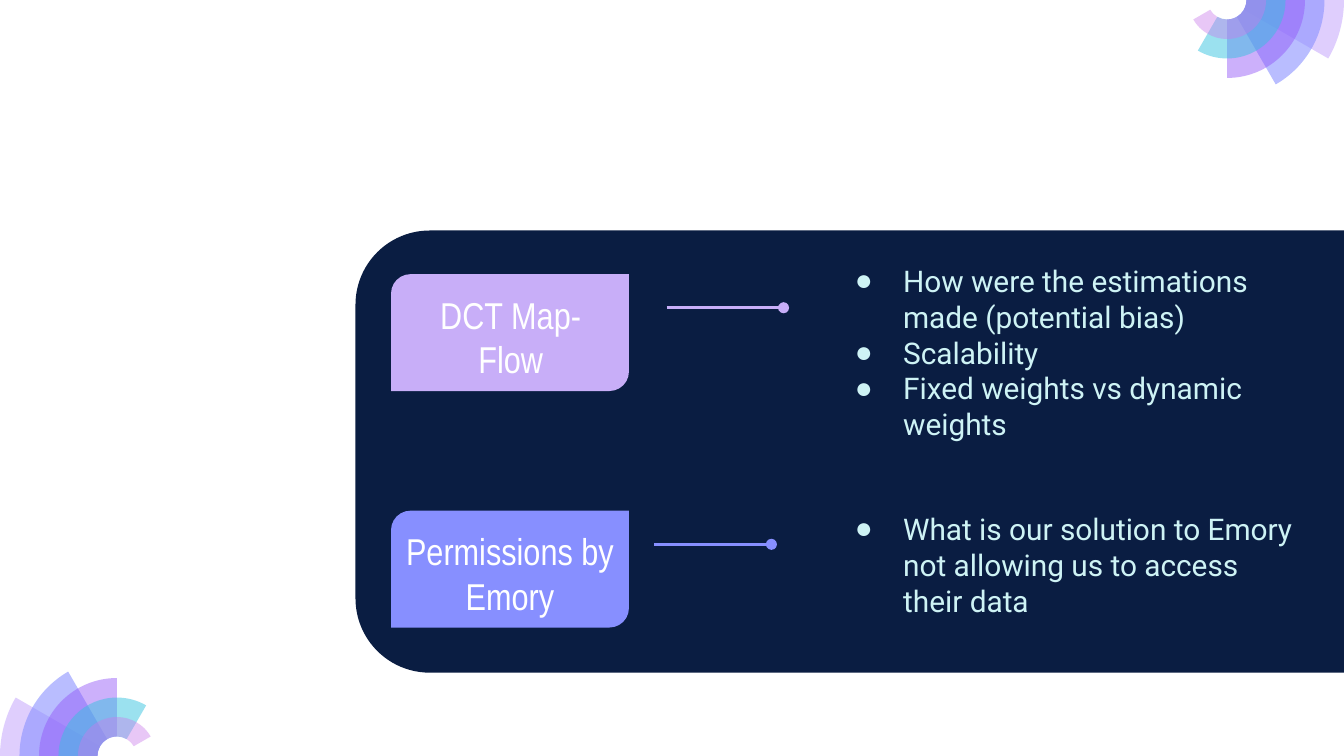
"""Build a slide that lists open questions on two topics beside a pair of corner fans."""
from math import cos, radians, sin, tan

from lxml.etree import SubElement
from pptx import Presentation
from pptx.dml.color import RGBColor
from pptx.enum.shapes import MSO_CONNECTOR as CONNECTOR, MSO_SHAPE as SHAPE
from pptx.enum.text import MSO_ANCHOR as ANCHOR, MSO_AUTO_SIZE as AUTOSIZE, PP_ALIGN as ALIGN
from pptx.oxml.ns import qn
from pptx.util import Inches, Pt


def rgb(code):
    return RGBColor.from_string(code)


def fill_shape(shape, color):
    shape.shadow.inherit = False
    shape.fill.solid()
    shape.fill.fore_color.rgb = rgb(color)
    shape.line.fill.background()


NAVY, MINT, WHITE = "0A1D42", "CEF3F5", "FFFFFF"
LILAC, PERIWINKLE = "C8AEF8", "878FFF"

deck = Presentation()
deck.slide_width, deck.slide_height = Inches(10), Inches(5.625)
slide = deck.slides.add_slide(deck.slide_layouts[4])
shapes = slide.shapes
title = shapes.title.element
title.getparent().remove(title)

blades = [("C8ACFD", 58), ("878FFF", 58), ("9154F8", 46), ("35C2DF", 49), ("CA7BEB", 42)]
for center_x, center_y, first_angle in [(Inches(0.87), deck.slide_height, 180), (Inches(9.13), 0, 0)]:
    for number, (color, opacity) in enumerate(blades):
        outer, inner = Inches(0.87 - 0.145 * number), Inches(0.145)
        sweep = 30 * (number + 1)
        angles = [radians(first_angle + turn) for turn in sorted({0, min(sweep, 90), sweep})]
        corners = [(outer, angle) for angle in angles] + [(inner, angle) for angle in reversed(angles)]
        points = [(center_x + radius * cos(angle), center_y + radius * sin(angle)) for radius, angle in corners]
        outline = shapes.build_freeform(*points[0])
        outline.add_line_segments(points[1:], close=True)
        blade = outline.convert_to_shape()
        fill_shape(blade, color)
        tint = blade.element.spPr.find(qn("a:solidFill"))[0]
        SubElement(tint, qn("a:alpha"), val=str(opacity * 1000))

        edges = list(blade.element.iter(qn("a:lnTo")))
        for edge, (radius, start), (end_radius, end) in zip(edges, corners, corners[1:]):
            if radius != end_radius:
                continue
            pull = 4 / 3 * tan((end - start) / 4)
            edge.clear()
            edge.tag = qn("a:cubicBezTo")
            for angle, reach in [(start, pull), (end, -pull), (end, 0)]:
                x = center_x + radius * (cos(angle) - reach * sin(angle)) - blade.left
                y = center_y + radius * (sin(angle) + reach * cos(angle)) - blade.top
                SubElement(edge, qn("a:pt"), x=str(round(x)), y=str(round(y)))

panel = shapes.add_shape(SHAPE.ROUNDED_RECTANGLE, Inches(2.65), Inches(1.72), Inches(7.99), Inches(3.28))
panel.adjustments[0] = 0.167
fill_shape(panel, NAVY)
panel.line.color.rgb = rgb(NAVY)
panel.line.width = Pt(0.75)

topics = [
    {
        "label": "DCT Map-Flow", "color": LILAC, "tab_top": 2.04, "line_left": 4.96,
        "label_left": 3.06, "label_width": 1.48, "list_top": 1.97, "list_height": 1.3,
        "questions": ["How were the estimations made (potential bias)", "Scalability",
                      "Fixed weights vs dynamic weights"],
    },
    {
        "label": "Permissions by Emory", "color": PERIWINKLE, "tab_top": 3.8, "line_left": 4.87,
        "label_left": 2.91, "label_width": 1.77, "list_top": 3.8, "list_height": 0.8,
        "questions": ["What is our solution to Emory not allowing us to access their data"],
    },
]
label_style = {"name": "Arial Narrow", "size": Pt(20), "bold": False}
list_style = {"name": "Roboto", "size": Pt(16), "bold": False}

for row, topic in enumerate(topics):
    tab_top, line_left = topic["tab_top"], topic["line_left"]
    tab = shapes.add_shape(SHAPE.ROUND_2_DIAG_RECTANGLE, Inches(2.91), Inches(tab_top), Inches(1.77), Inches(0.87))
    tab.adjustments[0] = 0.167
    fill_shape(tab, topic["color"])

    line_y = Inches(tab_top + 0.25)
    pointer = shapes.add_connector(CONNECTOR.STRAIGHT, Inches(line_left), line_y, Inches(line_left + 0.87), line_y)
    pointer.line.color.rgb = rgb(topic["color"])
    pointer.line.width = Pt(1.5)
    SubElement(pointer.element.spPr.find(qn("a:ln")), qn("a:tailEnd"), type="oval")
    SubElement(pointer.element.spPr, qn("a:effectLst"))

    label_box = (topic["label_left"], tab_top + 0.03, topic["label_width"], 0.44)
    list_box = (5.92, topic["list_top"], 4.07, topic["list_height"])
    parts = [
        (1 + 2 * row, label_box, 0.1, ANCHOR.TOP, [topic["label"]], label_style, WHITE),
        (2 + 2 * row, list_box, 0.3, ANCHOR.MIDDLE, topic["questions"], list_style, MINT),
    ]
    for index, box, side_margin, anchor, lines, style, color in parts:
        holder = slide.placeholders[index]
        shapes.element.append(holder.element)
        holder.left, holder.top, holder.width, holder.height = map(Inches, box)
        frame = holder.text_frame
        frame_format = {
            "margin_left": Inches(side_margin), "margin_right": Inches(side_margin),
            "margin_top": Inches(0.1), "margin_bottom": Inches(0.1),
            "vertical_anchor": anchor, "word_wrap": True, "auto_size": AUTOSIZE.NONE,
        }
        for name, value in frame_format.items():
            setattr(frame, name, value)
        frame.text = "\n".join(lines)
        for paragraph in frame.paragraphs:
            paragraph.space_before = Pt(0)
            if style is label_style:
                paragraph.alignment = ALIGN.CENTER
                paragraph.space_after = Pt(16)
            else:
                paragraph.alignment = ALIGN.LEFT
                properties = paragraph._p.get_or_add_pPr()
                properties.set("marL", str(Inches(0.5)))
                properties.set("indent", str(Inches(-0.36)))
                bullet_color = SubElement(properties, qn("a:buClr"))
                SubElement(bullet_color, qn("a:srgbClr"), val=MINT)
                SubElement(properties, qn("a:buChar"), char="●")
            for name, value in style.items():
                setattr(paragraph.font, name, value)
            paragraph.font.color.rgb = rgb(color)

deck.save("out.pptx")
